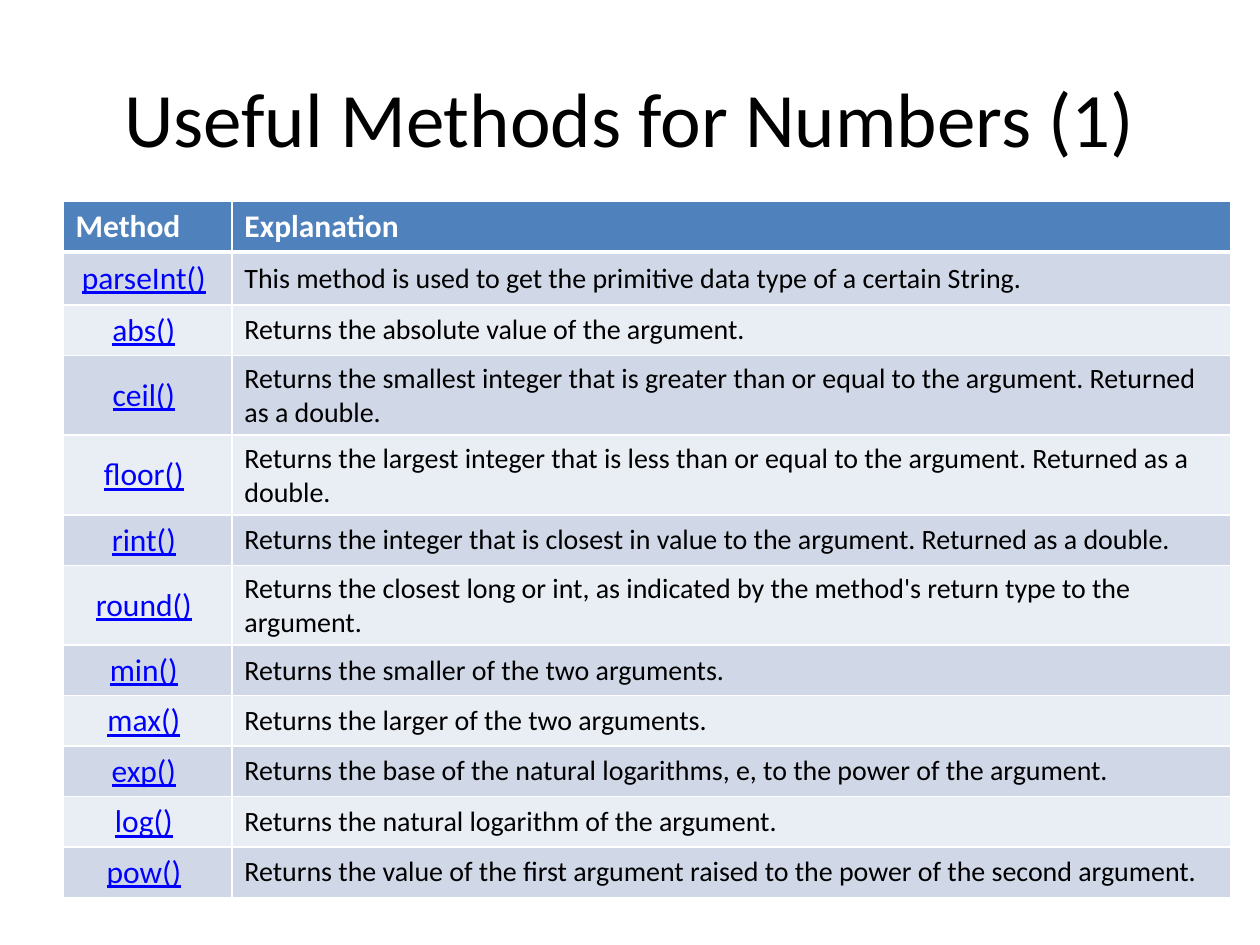
from dataclasses import dataclass

from lxml import etree
from pptx import Presentation
from pptx.dml import color
from pptx.enum import text
from pptx.oxml import ns
from pptx.util import Pt

FONT = "Calibri"
COLOURS = {
    "black": "000000",
    "white": "FFFFFF",
    "link": "0000FF",
    "header": "4F81BD",
    "odd": "D0D8E8",
    "even": "E9EDF4",
}
TITLE = "Useful Methods for Numbers (1)"
HEADINGS = ("Method", "Explanation")
COLUMN_WIDTHS = (96.5, 571)
HEADER_HEIGHT = 27.4


@dataclass(frozen=True)
class Method:
    name: str
    explanation: str
    height: float = 26.6


METHODS = (
    Method("parseInt()", "This method is used to get the primitive data type of a certain String.", 30.2),
    Method("abs()", "Returns the absolute value of the argument."),
    Method("ceil()", "Returns the smallest integer that is greater than or equal to the argument. Returned as a double.", 43.2),
    Method("floor()", "Returns the largest integer that is less than or equal to the argument. Returned as a double.", 43.2),
    Method("rint()", "Returns the integer that is closest in value to the argument. Returned as a double."),
    Method("round()", "Returns the closest long or int, as indicated by the method's return type to the argument.", 43.2),
    Method("min()", "Returns the smaller of the two arguments."),
    Method("max()", "Returns the larger of the two arguments."),
    Method("exp()", "Returns the base of the natural logarithms, e, to the power of the argument."),
    Method("log()", "Returns the natural logarithm of the argument."),
    Method("pow()", "Returns the value of the first argument raised to the power of the second argument."),
)


def rgb(name: str) -> color.RGBColor:
    return color.RGBColor.from_string(COLOURS[name])


def format_span(span, size: float, colour: str, bold: bool = False, underline: bool = False) -> None:
    span.font.name = FONT
    span.font.size = Pt(size)
    span.font.bold = bold
    span.font.underline = underline
    span.font.color.rgb = rgb(colour)


def draw_borders(cell, top: float = 1, bottom: float = 1) -> None:
    properties = cell._tc.get_or_add_tcPr()
    widths = {"lnL": 1, "lnR": 1, "lnT": top, "lnB": bottom}
    for index, (side, width) in enumerate(widths.items()):
        line = etree.Element(ns.qn(f"a:{side}"), w=str(Pt(width)))
        fill = etree.SubElement(line, ns.qn("a:solidFill"))
        etree.SubElement(fill, ns.qn("a:srgbClr"), val=COLOURS["white"])
        properties.insert(index, line)


def fill_cell(cell, content: str, fill: str, size: float, colour: str, bold: bool = False, underline: bool = False):
    cell.fill.solid()
    cell.fill.fore_color.rgb = rgb(fill)
    cell.text_frame.text = content
    para = cell.text_frame.paragraphs[0]
    format_span(para.runs[0], size, colour, bold, underline)
    return para


def add_title(page) -> None:
    box = page.shapes.add_textbox(Pt(36), Pt(21.6), Pt(648), Pt(90))
    frame = box.text_frame
    frame.word_wrap = True
    frame.vertical_anchor = text.MSO_ANCHOR.MIDDLE
    frame.text = TITLE
    para = frame.paragraphs[0]
    para.alignment = text.PP_ALIGN.CENTER
    format_span(para.runs[0], 44, "black")


def add_method_row(table, index: int, method: Method) -> None:
    table.rows[index].height = Pt(method.height)
    band = "odd" if index % 2 else "even"
    name_cell, explanation_cell = table.cell(index, 0), table.cell(index, 1)
    para = fill_cell(name_cell, method.name, band, 18, "link", underline=True)
    para.alignment = text.PP_ALIGN.CENTER
    gap = para.add_run()
    gap.text = " "
    format_span(gap, 18, "black")
    fill_cell(explanation_cell, method.explanation, band, 16, "black")
    for cell in (name_cell, explanation_cell):
        cell.vertical_anchor = text.MSO_ANCHOR.MIDDLE
        draw_borders(cell, top=3 if index == 1 else 1)


def add_method_table(page) -> None:
    height = HEADER_HEIGHT + sum(method.height for method in METHODS)
    table = page.shapes.add_table(
        len(METHODS) + 1, len(HEADINGS), Pt(36), Pt(115.2), Pt(sum(COLUMN_WIDTHS)), Pt(height)
    ).table
    table.rows[0].height = Pt(HEADER_HEIGHT)
    for index, (heading, width) in enumerate(zip(HEADINGS, COLUMN_WIDTHS)):
        table.columns[index].width = Pt(width)
        cell = table.cell(0, index)
        fill_cell(cell, heading, "header", 18, "white", bold=True)
        draw_borders(cell, bottom=3)
    for index, method in enumerate(METHODS, start=1):
        add_method_row(table, index, method)


def main() -> None:
    deck = Presentation()
    deck.slide_width, deck.slide_height = Pt(720), Pt(540)
    page = deck.slides.add_slide(deck.slide_layouts[6])
    add_title(page)
    add_method_table(page)
    deck.save("out.pptx")


if __name__ == "__main__":
    main()
